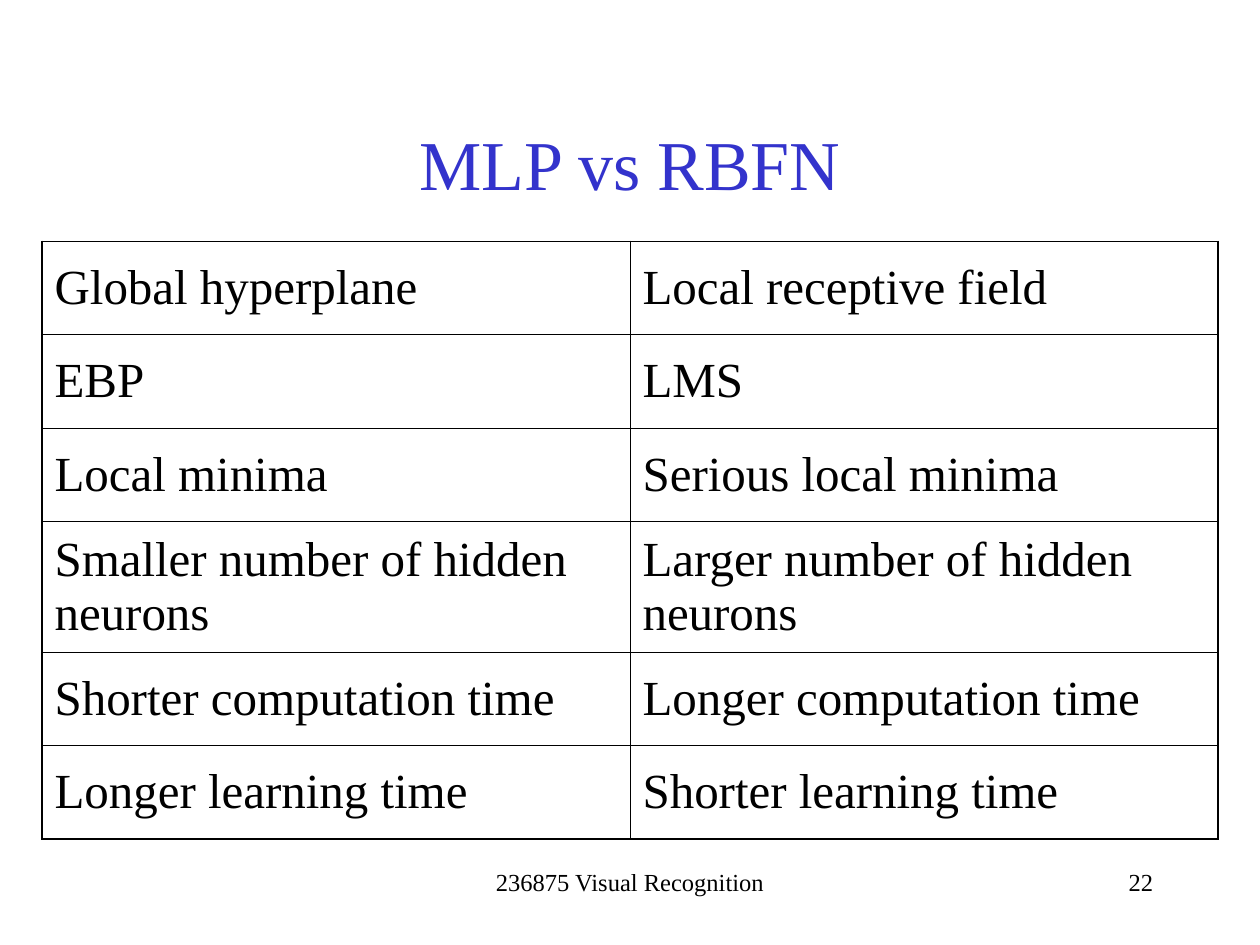
from dataclasses import dataclass

from lxml.etree import SubElement
from pptx import Presentation
from pptx.dml.color import RGBColor
from pptx.enum.text import MSO_ANCHOR, MSO_AUTO_SIZE, PP_ALIGN
from pptx.oxml.ns import qn
from pptx.util import Pt

BLACK = RGBColor(0x00, 0x00, 0x00)
BLUE = RGBColor(0x33, 0x33, 0xCC)
FONT = "Times New Roman"
THIN, THICK = Pt(0.45), Pt(1.08)

ROWS = [
    ("Global hyperplane", "Local receptive field"),
    ("EBP", "LMS"),
    ("Local minima", "Serious local minima"),
    ("Smaller number of hidden neurons", "Larger number of hidden neurons"),
    ("Shorter computation time", "Longer computation time"),
    ("Longer learning time", "Shorter learning time"),
]
ROW_HEIGHTS = [53.3, 53.3, 53.3, 75, 53.3, 53.3]
COL_WIDTH = 336


@dataclass
class FooterItem:
    text: str
    left: float
    width: float
    align: PP_ALIGN


FOOTER = [
    FooterItem("236875 Visual Recognition", 246, 228, PP_ALIGN.CENTER),
    FooterItem("22", 516, 150, PP_ALIGN.RIGHT),
]


def write(tf, text: str, size: float, align: PP_ALIGN, color: RGBColor = BLACK) -> None:
    tf.word_wrap = True
    p = tf.paragraphs[0]
    p.alignment = align
    r = p.add_run()
    r.text = text
    for name, value in {"name": FONT, "size": Pt(size)}.items():
        setattr(r.font, name, value)
    r.font.color.rgb = color


def add_footer(s, item: FooterItem) -> None:
    box = s.shapes.add_textbox(Pt(item.left), Pt(492), Pt(item.width), Pt(36))
    write(box.text_frame, item.text, 14, item.align)


def set_borders(cell, widths: dict[str, int]) -> None:
    tc_pr = cell._tc.get_or_add_tcPr()
    for tag, width in widths.items():
        ln = SubElement(tc_pr, qn(f"a:{tag}"), w=str(width))
        fill = SubElement(ln, qn("a:solidFill"))
        SubElement(fill, qn("a:srgbClr"), val=str(BLACK))


def add_comparison(s) -> None:
    n_rows, n_cols = len(ROWS), len(ROWS[0])
    frame = s.shapes.add_table(n_rows, n_cols, Pt(24), Pt(138),
                               Pt(n_cols * COL_WIDTH), Pt(sum(ROW_HEIGHTS)))
    table = frame.table
    for flag in ("first_row", "horz_banding"):
        setattr(table, flag, False)
    for col in table.columns:
        col.width = Pt(COL_WIDTH)
    for i, (texts, height) in enumerate(zip(ROWS, ROW_HEIGHTS)):
        table.rows[i].height = Pt(height)
        for j, text in enumerate(texts):
            cell = table.cell(i, j)
            cell.vertical_anchor = MSO_ANCHOR.MIDDLE
            write(cell.text_frame, text, 28, PP_ALIGN.LEFT)
            # Thick lines on the outer edge, thin lines inside
            set_borders(cell, {
                "lnL": THICK if j == 0 else THIN,
                "lnR": THICK if j == n_cols - 1 else THIN,
                "lnT": THICK if i == 0 else THIN,
                "lnB": THICK if i == n_rows - 1 else THIN,
            })
            cell.fill.background()


def main() -> None:
    prs = Presentation()
    prs.slide_width, prs.slide_height = Pt(720), Pt(540)
    s = prs.slides.add_slide(prs.slide_layouts[5])

    # Title
    title = s.shapes.title
    box = {"left": 54, "top": 48, "width": 612, "height": 90}
    for name, value in box.items():
        setattr(title, name, Pt(value))
    tf = title.text_frame
    tf.auto_size = MSO_AUTO_SIZE.NONE
    tf.vertical_anchor = MSO_ANCHOR.MIDDLE
    write(tf, "MLP vs RBFN", 40, PP_ALIGN.CENTER, BLUE)

    # Comparison table
    add_comparison(s)

    # Footer and page number
    for item in FOOTER:
        add_footer(s, item)

    prs.save("out.pptx")


if __name__ == "__main__":
    main()
